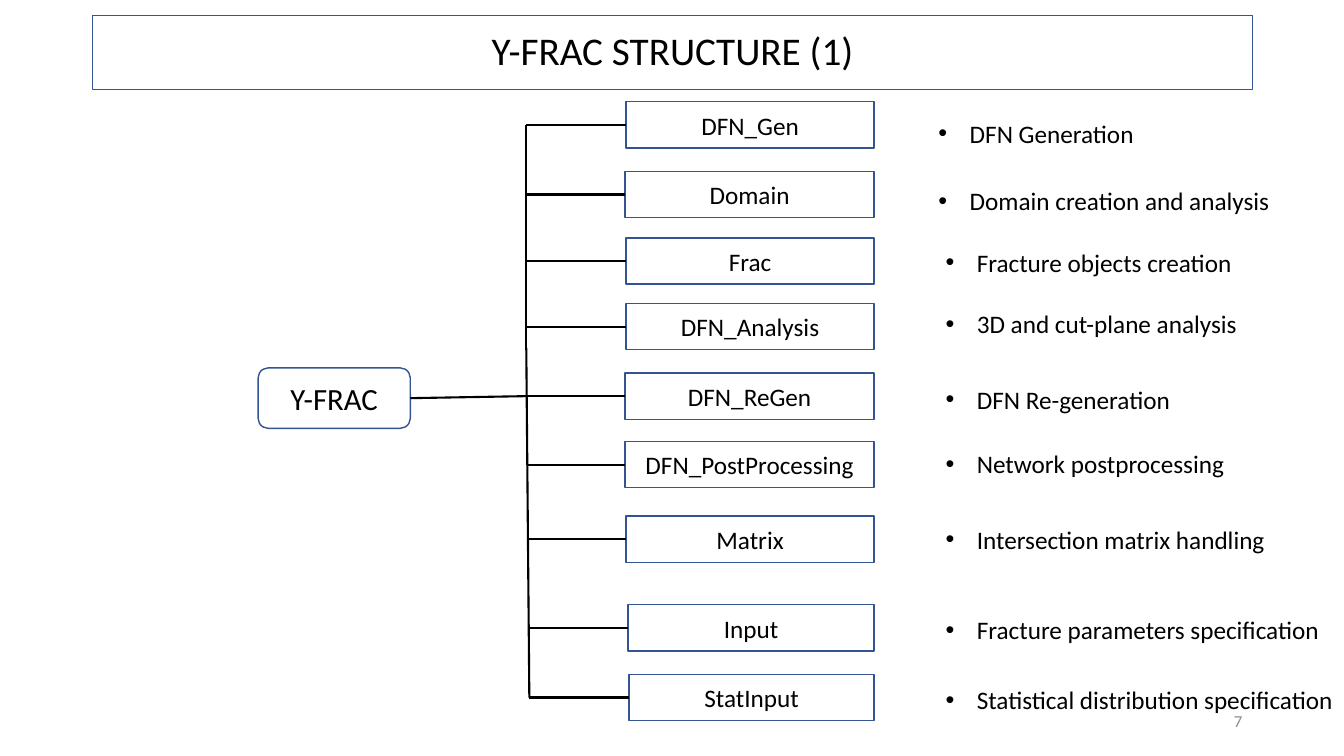
"""Build the Y-FRAC structure slide: a hub, its modules and their roles."""
import pptx
import pptx.dml.color
import pptx.enum.shapes
import pptx.enum.text
import pptx.oxml.ns
import pptx.util
from lxml import etree

PX = 9144
COLORS = {"ink": "000000", "title": "2F5597", "box": "325491",
          "number": "8C8C8C", "paper": "FFFFFF"}
FONT = "Calibri"
BOX_RIGHT, BOX_HEIGHT = 867, 46
TRUNK_X, TRUNK_BEND, TRUNK_LEAN = 522, 345, 3 / 351
HUB_MODULE = "DFN_ReGen"

MODULES = [
    ("DFN_Gen", 621, 101, "DFN Generation", 921, 112, 370),
    ("Domain", 620, 170, "Domain creation and analysis", 921, 179, 370),
    ("Frac", 621, 236, "Fracture objects creation", 928, 240, 370),
    ("DFN_Analysis", 621, 301, "3D and cut-plane analysis", 928, 301, 370),
    ("DFN_ReGen", 620, 370, "DFN Re-generation", 928, 376, 370),
    ("DFN_PostProcessing", 620, 438, "Network postprocessing", 928, 440, 370),
    ("Matrix", 621, 512, "Intersection matrix handling", 928, 515, 370),
    ("Input", 623, 600, "Fracture parameters specification", 928, 605, 405),
    ("StatInput", 624, 669, "Statistical distribution specification", 928, 674, 420),
]


def px(n):
    """Turn pixels into EMU."""
    return pptx.util.Emu(round(n * PX))


def rgb(name):
    """Look up a named colour."""
    return pptx.dml.color.RGBColor.from_string(COLORS[name])


def set_text(sp, text, size=18, color="ink", align="CENTER", anchor="MIDDLE",
             spacing=None, bullet=False):
    """Write one formatted paragraph into a shape."""
    tf = sp.text_frame
    tf.word_wrap = True
    tf.vertical_anchor = pptx.enum.text.MSO_ANCHOR[anchor]
    p = tf.paragraphs[0]
    p.alignment = pptx.enum.text.PP_ALIGN[align]
    if spacing:
        p.line_spacing = spacing
    if bullet:
        ppr = p._p.get_or_add_pPr()
        ppr.set("marL", str(px(31)))
        ppr.set("indent", str(px(-31)))
        font = etree.SubElement(ppr, pptx.oxml.ns.qn("a:buFont"))
        font.set("typeface", "Arial")
        char = etree.SubElement(ppr, pptx.oxml.ns.qn("a:buChar"))
        char.set("char", "•")
    r = p.add_run()
    r.text = text
    r.font.name = FONT
    r.font.size = pptx.util.Pt(size)
    r.font.color.rgb = rgb(color)


def add_box(s, text, x, y, w, h, kind="RECTANGLE", line="box", weight=1, **fmt):
    """Add an outlined box with centred text."""
    sp = s.shapes.add_shape(pptx.enum.shapes.MSO_SHAPE[kind],
                            px(x), px(y), px(w), px(h))
    sp.shadow.inherit = False
    sp.fill.solid()
    sp.fill.fore_color.rgb = rgb("paper")
    sp.line.color.rgb = rgb(line)
    sp.line.width = pptx.util.Pt(weight)
    set_text(sp, text, **fmt)
    return sp


def add_label(s, text, x, y, w, h=40, **fmt):
    """Add a text box."""
    sp = s.shapes.add_textbox(px(x), px(y), px(w), px(h))
    set_text(sp, text, **fmt)


def add_line(s, x1, y1, x2, y2, begin=None, end=None):
    """Add a connector, joined to a right side at begin or a left side at end."""
    c = s.shapes.add_connector(pptx.enum.shapes.MSO_CONNECTOR.STRAIGHT,
                               px(x1), px(y1), px(x2), px(y2))
    c.line.color.rgb = rgb("ink")
    c.line.width = pptx.util.Pt(1.5)
    etree.SubElement(c._element.spPr, pptx.oxml.ns.qn("a:effectLst"))
    if begin is not None:
        c.begin_connect(begin, 3)
    if end is not None:
        c.end_connect(end, 1)


def trunk_x(y):
    """Find the trunk's x at a height."""
    return round(TRUNK_X + max(0, y - TRUNK_BEND) * TRUNK_LEAN)


def add_module(s, name, x, y, role, role_x, role_y, role_w):
    """Add a module box, its branch and its role."""
    sp = add_box(s, name, x, y, BOX_RIGHT - x, BOX_HEIGHT)
    mid = y + BOX_HEIGHT // 2
    add_line(s, trunk_x(mid), mid, x, mid, end=sp)
    add_label(s, role, role_x, role_y, role_w,
              align="LEFT", anchor="TOP", bullet=True)
    return mid


def main():
    """Build and save the slide."""
    prs = pptx.Presentation()
    prs.slide_width, prs.slide_height = px(1333), px(750)
    s = prs.slides.add_slide(prs.slide_layouts[6])
    add_box(s, "Y-FRAC STRUCTURE (1)", 92, 15, 1150, 74,
            line="title", weight=0.75, size=28, spacing=0.9)
    add_label(s, "7", 942, 695, 300, size=12, color="number", align="RIGHT")
    hub = add_box(s, "Y-FRAC", 256, 365, 151, 60, "ROUNDED_RECTANGLE", size=22)
    mids = {module[0]: add_module(s, *module) for module in MODULES}
    top, *_, bottom = mids.values()
    add_line(s, TRUNK_X, TRUNK_BEND, TRUNK_X, top)
    add_line(s, TRUNK_X, TRUNK_BEND, trunk_x(bottom), bottom)
    hub_y = mids[HUB_MODULE]
    add_line(s, 407, 395, trunk_x(hub_y), hub_y, begin=hub)
    prs.save("out.pptx")


if __name__ == "__main__":
    main()
